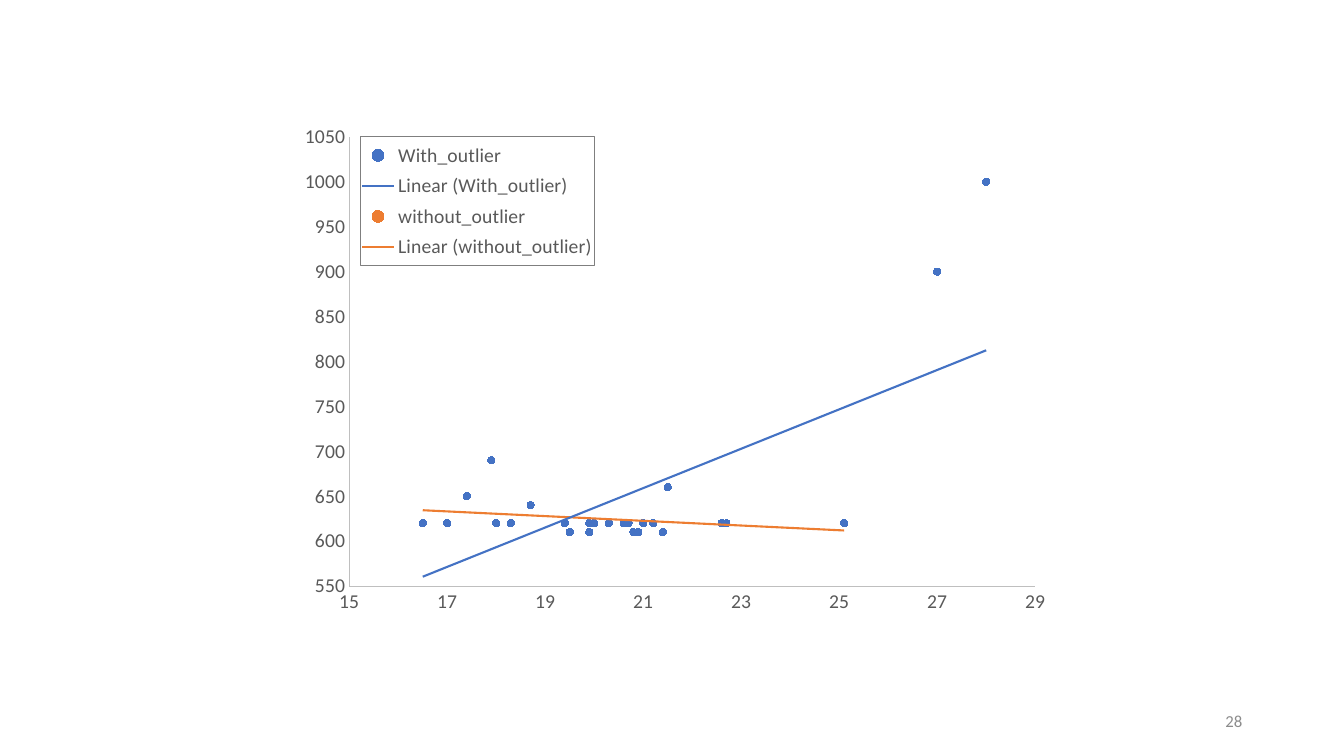
from lxml.etree import fromstring
from pptx import Presentation
from pptx.chart.data import XyChartData
from pptx.dml.color import RGBColor
from pptx.enum.chart import XL_CHART_TYPE, XL_LEGEND_POSITION, XL_MARKER_STYLE, XL_TICK_MARK
from pptx.enum.text import MSO_ANCHOR, PP_ALIGN
from pptx.oxml.ns import nsdecls, qn
from pptx.util import Inches, Pt

FONT = "Calibri"
BLUE = RGBColor(0x44, 0x72, 0xC4)
ORANGE = RGBColor(0xED, 0x7D, 0x31)
LABEL_GREY = RGBColor(0x59, 0x59, 0x59)
AXIS_GREY = RGBColor(0xBF, 0xBF, 0xBF)
BORDER_GREY = RGBColor(0x7F, 0x7F, 0x7F)
NUMBER_GREY = RGBColor(0x8C, 0x8C, 0x8C)

REGULAR_POINTS = [
    (17.9, 690), (21.5, 660), (18.7, 640), (17.4, 650), (18.7, 640),
    (21.4, 610), (19.5, 610), (20.9, 610), (19.9, 610), (20.8, 610),
    (21.2, 620), (21, 620), (20.6, 620), (20, 620), (18, 620),
    (20.3, 620), (17, 620), (16.5, 620), (22.7, 620), (19.9, 620),
    (18.3, 620), (22.6, 620), (19.4, 620), (25.1, 620), (20.7, 620),
]
OUTLIERS = [(28, 1000), (27, 900)]
SERIES = [
    ("With_outlier", REGULAR_POINTS + OUTLIERS, BLUE),
    ("without_outlier", REGULAR_POINTS, ORANGE),
]


def set_font(font, size, color):
    """Apply the slide's typeface with a size and a colour."""
    font.name = FONT
    font.size = Pt(size)
    font.color.rgb = color


def line_xml(color, width):
    """Return shape properties holding one solid line."""
    return (f'<c:spPr {nsdecls("c", "a")}><a:ln w="{Pt(width)}"><a:solidFill>'
            f'<a:srgbClr val="{color}"/></a:solidFill></a:ln></c:spPr>')


def set_layout(element, index, box, inner=False):
    """Give a chart part a manual layout in shares of the chart."""
    for layout in element.findall(qn("c:layout")):
        element.remove(layout)
    target = '<c:layoutTarget val="inner"/>' if inner else ""
    modes = '<c:xMode val="edge"/><c:yMode val="edge"/>'
    sides = "".join(f'<c:{side} val="{share}"/>' for side, share in zip("xywh", box))
    element.insert(index, fromstring(
        f'<c:layout {nsdecls("c")}><c:manualLayout>{target}{modes}{sides}'
        '</c:manualLayout></c:layout>'))


def style_axis(axis, low, high, step):
    """Set an axis's scale, line and labels."""
    axis.minimum_scale, axis.maximum_scale, axis.major_unit = low, high, step
    axis.has_major_gridlines = False
    axis.has_title = False
    axis.major_tick_mark = axis.minor_tick_mark = XL_TICK_MARK.NONE
    axis.format.line.color.rgb = AXIS_GREY
    axis.format.line.width = Pt(0.75)
    axis.tick_labels.number_format = "General"
    axis.tick_labels.number_format_is_linked = False
    set_font(axis.tick_labels.font, 14, LABEL_GREY)


def style_series(series, color):
    """Draw a series as dots with a linear trend line."""
    series.format.line.fill.background()
    series.marker.style = XL_MARKER_STYLE.CIRCLE
    series.marker.size = 5
    series.marker.format.fill.solid()
    series.marker.format.fill.fore_color.rgb = color
    series.marker.format.line.color.rgb = color
    trend = fromstring(
        f'<c:trendline {nsdecls("c")}>{line_xml(color, 1.5)}<c:trendlineType val="linear"/>'
        '<c:dispRSqr val="0"/><c:dispEq val="0"/></c:trendline>')
    series._element.find(qn("c:xVal")).addprevious(trend)


def add_legend(chart, box):
    """Place a framed legend over the plot."""
    chart.has_legend = True
    legend = chart.legend
    legend.position = XL_LEGEND_POSITION.RIGHT
    legend.include_in_layout = True
    set_font(legend.font, 14, LABEL_GREY)
    element = legend._element
    set_layout(element, 1, box)
    element.find(qn("c:txPr")).addprevious(fromstring(line_xml(BORDER_GREY, 0.75)))


def add_scatter(slide, left, top, width, height):
    """Add the scatter chart comparing fits with and without outliers."""
    data = XyChartData()
    for name, points, _ in SERIES:
        series_data = data.add_series(name)
        for x, y in points:
            series_data.add_data_point(x, y)
    chart = slide.shapes.add_chart(
        XL_CHART_TYPE.XY_SCATTER, left, top, width, height, data).chart
    chart.has_title = False
    set_font(chart.font, 14, LABEL_GREY)
    plot = chart.plots[0]
    plot.vary_by_categories = False
    for series, (_, _, color) in zip(plot.series, SERIES):
        style_series(series, color)
    style_axis(chart.category_axis, 15, 29, 2)
    style_axis(chart.value_axis, 550, 1050, 50)
    plot_area = chart._chartSpace.find(".//" + qn("c:plotArea"))
    set_layout(plot_area, 0, (0.086, 0.024, 0.88, 0.887), inner=True)
    add_legend(chart, (0.1, 0.024, 0.3, 0.254))


def add_slide_number(slide, left, top, width, height):
    """Add the right-aligned slide number."""
    text_frame = slide.shapes.add_textbox(left, top, width, height).text_frame
    text_frame.word_wrap = True
    text_frame.vertical_anchor = MSO_ANCHOR.MIDDLE
    text_frame.text = "28"
    paragraph = text_frame.paragraphs[0]
    paragraph.alignment = PP_ALIGN.RIGHT
    set_font(paragraph.runs[0].font, 12, NUMBER_GREY)


def main():
    """Build the slide and save it."""
    presentation = Presentation()
    width = presentation.slide_width = Inches(13.33)
    height = presentation.slide_height = Inches(7.5)
    slide = presentation.slides.add_slide(presentation.slide_layouts[6])
    add_scatter(slide, int(width * 0.21), int(height * 0.165),
                int(width * 0.58), int(height * 0.67))
    add_slide_number(slide, Inches(9.42), Inches(6.95), Inches(3), Inches(0.4))
    presentation.save("out.pptx")


if __name__ == "__main__":
    main()
